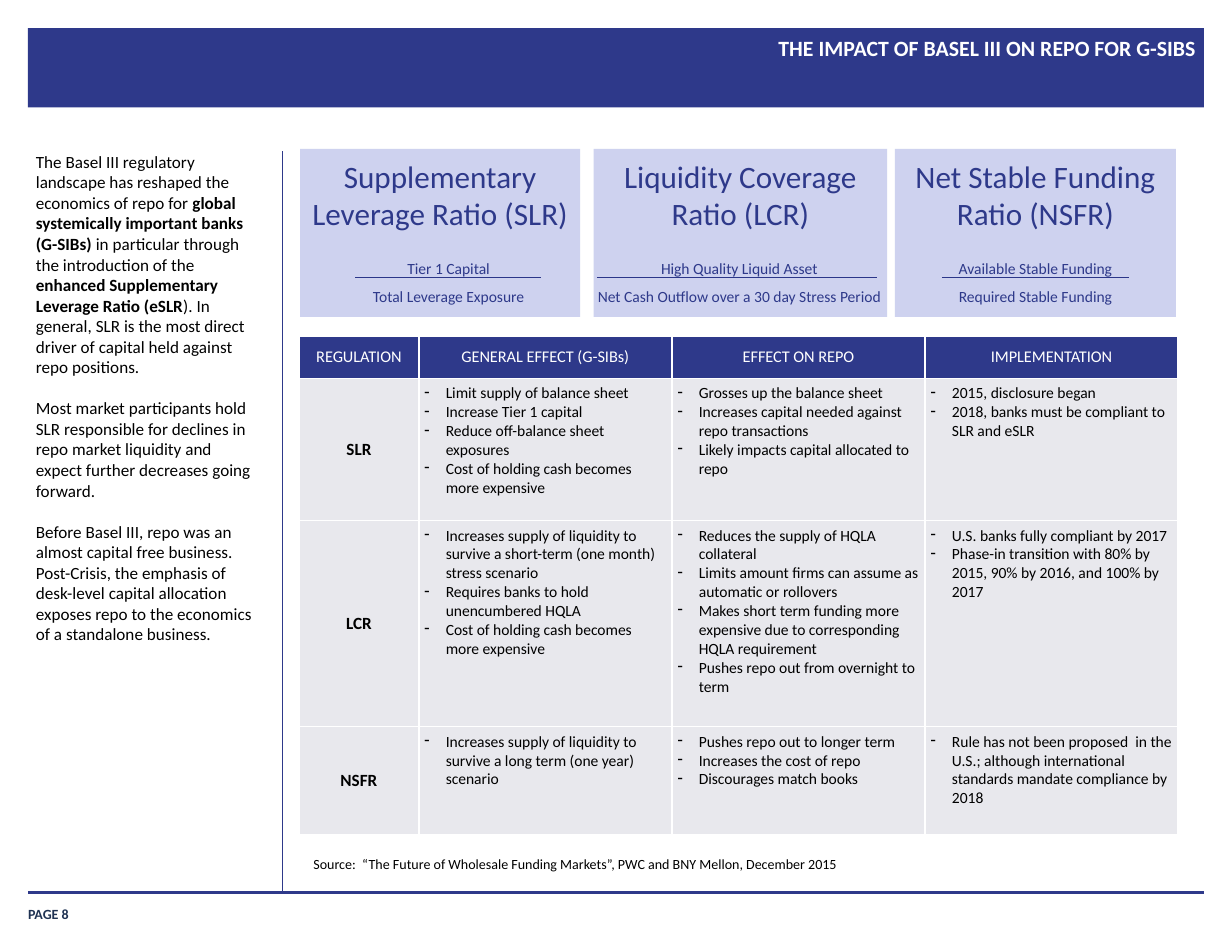
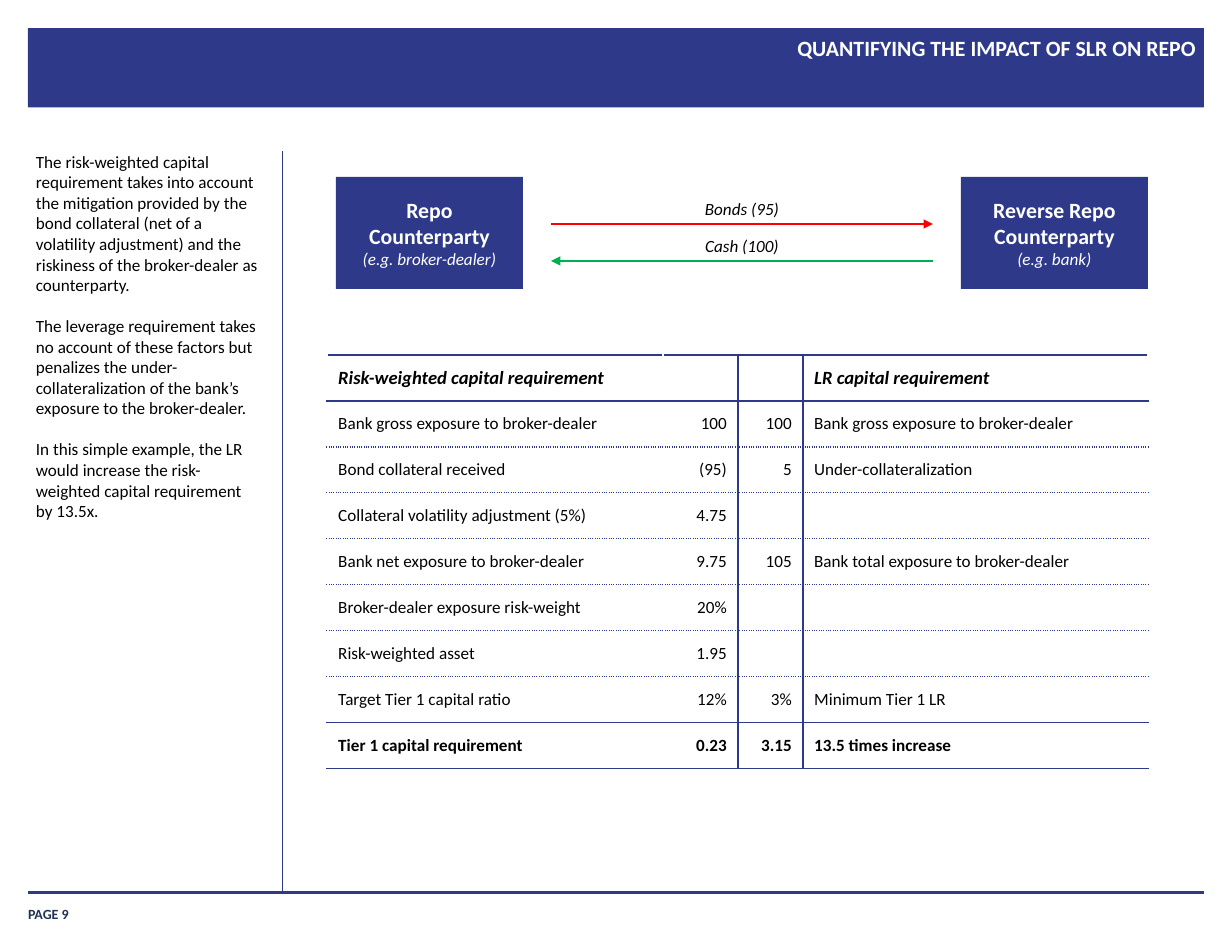
import lxml.etree
import pptx
import pptx.dml.color
import pptx.enum.shapes
import pptx.enum.text
import pptx.oxml.ns
import pptx.util

NAVY, PALE, GREY = "2E398A", "CED2EF", "E8E8ED"
WHITE, BLACK, INK = "FFFFFF", "000000", "203353"
RULE, RED, GREEN = "2B3689", "FF0000", "00B050"
FONT = "Calibri"
ALIGN = {"l": pptx.enum.text.PP_ALIGN.LEFT,
         "c": pptx.enum.text.PP_ALIGN.CENTER,
         "r": pptx.enum.text.PP_ALIGN.RIGHT}
ANCHOR = {"t": pptx.enum.text.MSO_ANCHOR.TOP,
          "m": pptx.enum.text.MSO_ANCHOR.MIDDLE,
          "b": pptx.enum.text.MSO_ANCHOR.BOTTOM}
Inches, Pt, qn = pptx.util.Inches, pptx.util.Pt, pptx.oxml.ns.qn


def tint(fill, hue):
    fill.solid()
    fill.fore_color.rgb = pptx.dml.color.RGBColor.from_string(hue)


def write(host, text, at=None, fill=None, size=11, hue=BLACK, bold=False,
          italic=False, align="l", anchor="t", inset=(0.1, 0.05, 0.1, 0.05),
          gap=0, lead=None, bullet=None):
    """Fill a cell, or a new box on a slide if at is given; *stars* mark bold."""
    if at:
        box = [Inches(n) for n in at]
        if fill:
            rect = pptx.enum.shapes.MSO_SHAPE.RECTANGLE
            host = host.shapes.add_shape(rect, *box)
            host.shadow.inherit = False
            host.line.fill.background()
        else:
            host = host.shapes.add_textbox(*box)
    if fill:
        tint(host.fill, fill)
    frame = host.text_frame
    frame.word_wrap = True
    area = host if hasattr(host, "vertical_anchor") else frame
    area.vertical_anchor = ANCHOR[anchor]
    (area.margin_left, area.margin_top,
     area.margin_right, area.margin_bottom) = [Inches(n) for n in inset]
    for i, line in enumerate(text.split("\n")):
        para = frame.add_paragraph() if i else frame.paragraphs[0]
        para.alignment = ALIGN[align]
        if lead:
            para.line_spacing = lead
        if i and gap:
            para.space_before = Pt(gap)
        if bullet:
            props = para._p.get_or_add_pPr()
            props.set("marL", str(Inches(0.19)))
            props.set("indent", str(-Inches(0.19)))
            lxml.etree.SubElement(props, qn("a:buChar")).set("char", bullet)
        for j, part in enumerate(line.split("*")):
            if part:
                run = para.add_run()
                run.text = part
                run.font.name, run.font.size = FONT, Pt(size)
                run.font.bold, run.font.italic = bold or j % 2 == 1, italic
                tint(run.font.fill, hue)
    return host


deck = pptx.Presentation()
deck.slide_width, deck.slide_height = Inches(11), Inches(8.5)
lines = []  # slide, x1, y1, x2, y2, colour, width, arrow
edges = []  # cell, colour, dash by side

# Shared frame
pages = [
    (8, "THE IMPACT OF BASEL III ON REPO FOR G-SIBS",
     "The Basel III regulatory landscape has reshaped the economics of repo for "
     "*global systemically important banks (G-SIBs)* in particular through the "
     "introduction of the *enhanced Supplementary Leverage Ratio (eSLR*). In "
     "general, SLR is the most direct driver of capital held against repo "
     "positions.\n"
     "Most market participants hold SLR responsible for declines in repo market "
     "liquidity and expect further decreases going forward.\n"
     "Before Basel III, repo was an almost capital free business. Post-Crisis, "
     "the emphasis of desk-level capital allocation exposes repo to the "
     "economics of a standalone business."),
    (9, "QUANTIFYING THE IMPACT OF SLR ON REPO",
     "The risk-weighted capital requirement takes into account the mitigation "
     "provided by the bond collateral (net of a volatility adjustment) and the "
     "riskiness of the broker-dealer as counterparty.\n"
     "The leverage requirement takes no account of these factors but penalizes "
     "the under-collateralization of the bank’s exposure to the broker-dealer.\n"
     "In this simple example, the LR would increase the risk-weighted capital "
     "requirement by 13.5x."),
]
bare = (0, 0, 0, 0)
for num, title, body in pages:
    slide = deck.slides.add_slide(deck.slide_layouts[6])
    write(slide, "", at=(0.25, 0.25, 10.5, 0.71), fill=NAVY)
    write(slide, f"PAGE {num}", at=(0.25, 8.01, 0.91, 0.23), size=9, hue=INK,
          bold=True, anchor="b", inset=bare)
    write(slide, title, at=(3.17, 0.29, 7.51, 0.67), size=14, hue=WHITE,
          bold=True, align="r", lead=1.1, inset=bare)
    write(slide, body, at=(0.32, 1.35, 2.01, 6.48), gap=13.2, inset=bare)
    lines += [(slide, 0.25, 7.97, 10.75, 7.97, NAVY, 2.25, False),
              (slide, 2.52, 1.35, 2.52, 7.98, NAVY, 0.5, False)]
first, second = deck.slides

# Ratios: box, fraction box and fraction bar
ratios = [
    ("Supplementary\nLeverage Ratio (SLR)", 2.68, 2.5,
     "Tier 1 Capital\nTotal Leverage Exposure", 3.17, 1.67, 3.17, 4.83),
    ("Liquidity Coverage Ratio (LCR)", 5.3, 2.62,
     "High Quality Liquid Asset\nNet Cash Outflow over a 30 day Stress Period",
     5.19, 2.82, 5.33, 7.83),
    ("Net Stable Funding Ratio (NSFR)", 7.99, 2.51,
     "Available Stable Funding\nRequired Stable Funding",
     8.41, 1.67, 8.41, 10.08),
]
for name, left, wide, terms, x, span, start, end in ratios:
    write(first, name, at=(left, 1.33, wide, 1.5), fill=PALE, size=20, hue=NAVY,
          align="c", anchor="m", inset=(0.1, 0.05, 0.1, 0.73))
    write(first, terms, at=(x, 2.18, span, 0.61), size=10, hue=NAVY,
          align="c", lead=1.5)
    lines.append((first, start, 2.48, end, 2.48, RULE, 0.75, False))

# Regulation table
rules = [
    ("REGULATION", "GENERAL EFFECT (G-SIBs)", "EFFECT ON REPO", "IMPLEMENTATION"),
    ("SLR",
     "Limit supply of balance sheet\nIncrease Tier 1 capital\n"
     "Reduce off-balance sheet exposures\n"
     "Cost of holding cash becomes more expensive",
     "Grosses up the balance sheet\n"
     "Increases capital needed against repo transactions\n"
     "Likely impacts capital allocated to repo",
     "2015, disclosure began\n2018, banks must be compliant to SLR and eSLR"),
    ("LCR",
     "Increases supply of liquidity to survive a short-term (one month) stress "
     "scenario\nRequires banks to hold unencumbered HQLA\n"
     "Cost of holding cash becomes more expensive",
     "Reduces the supply of HQLA collateral\n"
     "Limits amount firms can assume as automatic or rollovers\n"
     "Makes short term funding more expensive due to corresponding HQLA "
     "requirement\nPushes repo out from overnight to term",
     "U.S. banks fully compliant by 2017\n"
     "Phase-in transition with 80% by 2015, 90% by 2016, and 100% by 2017"),
    ("NSFR",
     "Increases supply of liquidity to survive a long term (one year) scenario",
     "Pushes repo out to longer term\nIncreases the cost of repo\n"
     "Discourages match books",
     "Rule has not been proposed  in the U.S.; although international standards "
     "mandate compliance by 2018"),
]
grid = first.shapes.add_table(4, 4, Inches(2.67), Inches(3), Inches(7.83),
                              Inches(4.45)).table
for col, wide in zip(grid.columns, (1.07, 2.26, 2.26, 2.26)):
    col.width = Inches(wide)
for row, high, texts in zip(grid.rows, (0.38, 1.27, 1.84, 0.96), rules):
    row.height = Inches(high)
    for c, (cell, text) in enumerate(zip(row.cells, texts)):
        if texts is rules[0]:
            write(cell, text, fill=NAVY, size=10.5, hue=WHITE, align="c",
                  anchor="m")
        elif c == 0:
            write(cell, text, fill=GREY, bold=True, align="c", anchor="m")
        else:
            write(cell, text, fill=GREY, size=10, bullet="-", inset=(0.05,) * 4)
        edges.append((cell, WHITE, dict.fromkeys("LRTB", "solid")))
write(first, "Source:  “The Future of Wholesale Funding Markets”, PWC and BNY "
      "Mellon, December 2015", at=(2.7, 7.59, 5.13, 0.25), size=9)

# Trade flow
for left, name, role in ((3, "Repo", "broker-dealer"),
                         (8.58, "Reverse Repo", "bank")):
    box = write(second, f"{name}\nCounterparty\n(e.g. {role})",
                at=(left, 1.58, 1.67, 1), fill=NAVY, size=14, hue=WHITE,
                bold=True, align="c", anchor="m")
    font = box.text_frame.paragraphs[-1].runs[0].font
    font.size, font.bold, font.italic = Pt(11), False, True
for text, y, start, end, hue in (("Bonds (95)", 2, 4.92, 8.33, RED),
                                 ("Cash (100)", 2.33, 8.33, 4.92, GREEN)):
    write(second, text, at=(5.54, y - 0.28, 2.17, 0.29), italic=True, align="c")
    lines.append((second, start, y, end, y, hue, 0.75, True))

# Capital table
sums = [
    ("Risk-weighted capital requirement", "", "", "LR capital requirement"),
    ("Bank gross exposure to broker-dealer", "100", "100",
     "Bank gross exposure to broker-dealer"),
    ("Bond collateral received", "(95)", "5", "Under-collateralization"),
    ("Collateral volatility adjustment (5%)", "4.75", "", ""),
    ("Bank net exposure to broker-dealer", "9.75", "105",
     "Bank total exposure to broker-dealer"),
    ("Broker-dealer exposure risk-weight", "20%", "", ""),
    ("Risk-weighted asset", "1.95", "", ""),
    ("Target Tier 1 capital ratio", "12%", "3%", "Minimum Tier 1 LR"),
    ("Tier 1 capital requirement", "0.23", "3.15", "13.5 times increase"),
]
grid = second.shapes.add_table(9, 4, Inches(2.92), Inches(3.17), Inches(7.33),
                               Inches(3.68)).table
grid.first_row = grid.horz_banding = False
for col, wide in zip(grid.columns, (3, 0.67, 0.58, 3.08)):
    col.width = Inches(wide)
dash = ["sysDot" if 2 <= i <= 7 else "solid" for i in range(10)]
for r, (row, texts) in enumerate(zip(grid.rows, sums)):
    row.height = Inches(0.41)
    for c, (cell, text) in enumerate(zip(row.cells, texts)):
        cell.fill.background()
        if text:
            write(cell, text, size=11 if r else 12, bold=r in (0, 8),
                  italic=r == 0, align="r" if c in (1, 2) else "l", anchor="m")
        sides = {"T": dash[r], "B": dash[r + 1]}
        if c >= 2:
            sides["L"] = "solid"
        if c in (1, 2):
            sides["R"] = "solid"
        edges.append((cell, NAVY, sides))

# Cell borders
for cell, hue, sides in edges:
    props = cell._tc.get_or_add_tcPr()
    for i, side in enumerate(s for s in "LRTB" if s in sides):
        edge = lxml.etree.SubElement(props, qn("a:ln" + side))
        edge.set("w", str(Pt(1)))
        paint = lxml.etree.SubElement(edge, qn("a:solidFill"))
        lxml.etree.SubElement(paint, qn("a:srgbClr")).set("val", hue)
        lxml.etree.SubElement(edge, qn("a:prstDash")).set("val", sides[side])
        props.insert(i, edge)

# Rules and arrows
for slide, x1, y1, x2, y2, hue, width, arrow in lines:
    line = slide.shapes.add_connector(
        pptx.enum.shapes.MSO_CONNECTOR.STRAIGHT,
        Inches(x1), Inches(y1), Inches(x2), Inches(y2))
    tint(line.line.fill, hue)
    line.line.width = Pt(width)
    props = line._element.spPr
    if arrow:
        tip = lxml.etree.SubElement(props.find(qn("a:ln")), qn("a:tailEnd"))
        tip.set("type", "triangle")
    lxml.etree.SubElement(props, qn("a:effectLst"))

deck.save("out.pptx")
